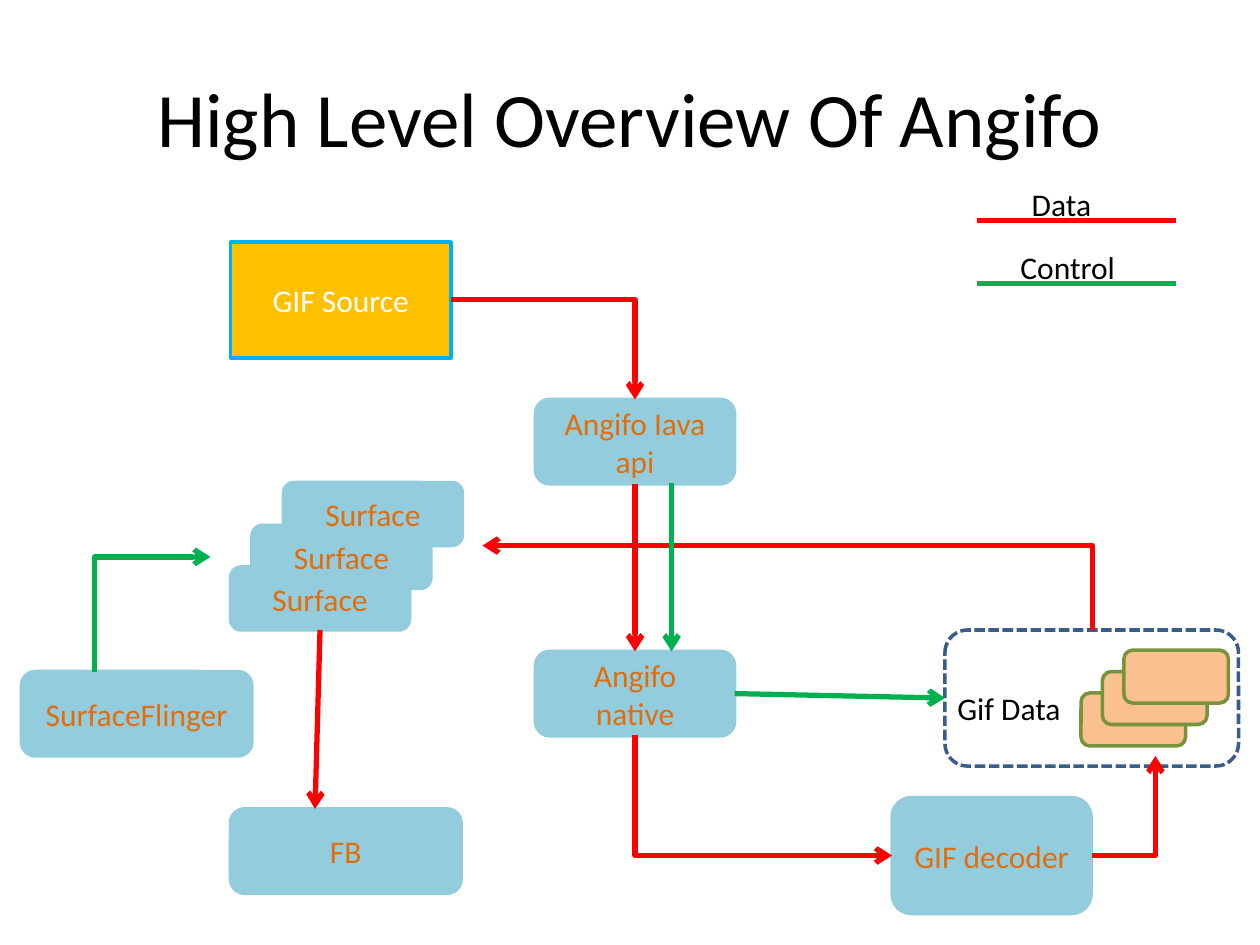
from dataclasses import dataclass

from lxml import etree
from pptx import Presentation
from pptx.dml.color import RGBColor
from pptx.enum.dml import MSO_LINE
from pptx.enum.shapes import MSO_CONNECTOR, MSO_SHAPE
from pptx.enum.text import MSO_ANCHOR, MSO_AUTO_SIZE, PP_ALIGN
from pptx.oxml.ns import qn
from pptx.util import Inches, Pt

STRAIGHT, ELBOW = MSO_CONNECTOR.STRAIGHT, MSO_CONNECTOR.ELBOW
RECT, ROUNDED = MSO_SHAPE.RECTANGLE, MSO_SHAPE.ROUNDED_RECTANGLE
DASHED = MSO_LINE.SQUARE_DOT
MIDDLE, CENTER = MSO_ANCHOR.MIDDLE, PP_ALIGN.CENTER
FIT_SHAPE = MSO_AUTO_SIZE.SHAPE_TO_FIT_TEXT
TOP, LEFT, BOTTOM, RIGHT = range(4)


@dataclass(frozen=True)
class Theme:
    font: str = "Calibri"
    title_size: int = 44
    text_size: int = 18
    outline: int = 2
    flow: int = 3
    black: str = "000000"
    white: str = "FFFFFF"
    module: str = "93CDDD"
    module_text: str = "E46C0A"
    source: str = "FFC000"
    source_line: str = "00B0F0"
    frame: str = "FAC090"
    frame_line: str = "77933C"
    group_line: str = "385D8A"
    data: str = "FF0000"
    control: str = "00B050"


theme = Theme()
deck = Presentation()
deck.slide_width, deck.slide_height = Inches(10), Inches(7.5)
page = deck.slides.add_slide(deck.slide_layouts[5])


def add_box(kind, place, fill, line, text="", color=theme.module_text):
    box = page.shapes.add_shape(kind, *map(Inches, place))
    box.shadow.inherit = False
    if fill:
        box.fill.solid()
        box.fill.fore_color.rgb = RGBColor.from_string(fill)
    else:
        box.fill.background()
    box.line.color.rgb = RGBColor.from_string(line)
    box.line.width = Pt(theme.outline)
    if text:
        box.text_frame.text = text
        box.text_frame.word_wrap = True
        box.text_frame.vertical_anchor = MIDDLE
        para = box.text_frame.paragraphs[0]
        para.alignment = CENTER
        para.font.name, para.font.size = theme.font, Pt(theme.text_size)
        para.font.color.rgb = RGBColor.from_string(color)
    return box


def add_flow(color, start, end, bend="", arrow=True):
    """Draw a line; bend is "across" or "down", the direction it leaves in."""
    (x1, y1), (x2, y2) = start, end
    if bend == "down":
        # A quarter turn about the centre makes the first leg vertical
        cx, cy, dx, dy = (x1 + x2) / 2, (y1 + y2) / 2, x2 - x1, y2 - y1
        x1, y1, x2, y2 = cx - dy / 2, cy + dx / 2, cx + dy / 2, cy - dx / 2
    flow = page.shapes.add_connector(
        ELBOW if bend else STRAIGHT, *map(Inches, (x1, y1, x2, y2)))
    flow.line.color.rgb = RGBColor.from_string(color)
    flow.line.width = Pt(theme.flow)
    props = flow._element.spPr
    if bend:
        props.find(qn("a:prstGeom")).set("prst", "bentConnector2")
    if bend == "down":
        props.find(qn("a:xfrm")).set("rot", str(90 * 60000))
    if arrow:
        etree.SubElement(props.find(qn("a:ln")), qn("a:tailEnd"), type="arrow")
    etree.SubElement(props, qn("a:effectLst"))
    return flow


# Title
title = page.shapes.title
title.left, title.top, title.width, title.height = map(Inches, (0.5, 0.3, 9, 1.25))
title.text_frame.text = "High Level Overview Of Angifo"
title.text_frame.vertical_anchor = MIDDLE
heading = title.text_frame.paragraphs[0]
heading.alignment = CENTER
heading.font.name, heading.font.size = theme.font, Pt(theme.title_size)
heading.font.color.rgb = RGBColor.from_string(theme.black)

# Source and processing modules
add_box(RECT, (1.83, 1.92, 1.75, 0.92), theme.source, theme.source_line,
        "GIF Source", theme.white)
modules = {}
for name, place in (
    ("GIF decoder", (7.08, 6.33, 1.58, 0.92)),
    ("Angifo native", (4.25, 5.17, 1.58, 0.67)),
    ("Angifo Iava api", (4.25, 3.17, 1.58, 0.67)),
    ("SurfaceFlinger", (0.17, 5.33, 1.83, 0.67)),
    ("FB", (1.83, 6.42, 1.83, 0.67)),
):
    modules[name] = add_box(ROUNDED, place, theme.module, theme.module, name)

# Stacked surfaces, the lowest first
surfaces = [
    add_box(ROUNDED, (left, top, 1.42, 0.5), theme.module, theme.module, "Surface")
    for left, top in ((1.83, 4.5), (2, 4.17), (2.25, 3.83))
]

# Decoded frames inside the dashed group
for step in range(3):
    add_box(ROUNDED, (8.58 + step * 0.17, 5.5 - step * 0.17, 0.83, 0.42),
            theme.frame, theme.frame_line)
gif_data = add_box(ROUNDED, (7.5, 5, 2.33, 1.08), None, theme.group_line)
gif_data.line.dash_style = DASHED

# Legend lines
for color, y in ((theme.data, 1.75), (theme.control, 2.25)):
    add_flow(color, (7.75, y), (9.33, y), arrow=False)

# Legend and group labels
for text, place in (
    ("Data", (8.09, 1.42, 0.67, 0.4)),
    ("Control", (8, 1.92, 0.95, 0.4)),
    ("Gif Data", (7.5, 5.42, 1.02, 0.4)),
):
    label = page.shapes.add_textbox(*map(Inches, place))
    label.text_frame.text = text
    label.text_frame.word_wrap = False
    label.text_frame.auto_size = FIT_SHAPE
    para = label.text_frame.paragraphs[0]
    para.font.name, para.font.size = theme.font, Pt(theme.text_size)
    para.font.color.rgb = RGBColor.from_string(theme.black)

# Bent flows
for color, start, end, bend in (
    (theme.data, (3.58, 2.38), (5.04, 3.17), "across"),
    (theme.data, (5.04, 5.83), (7.08, 6.79), "down"),
    (theme.data, (8.67, 6.79), (9.17, 6), "across"),
    (theme.data, (8.67, 5), (3.83, 4.33), "down"),
    (theme.control, (0.75, 5.33), (1.67, 4.42), "down"),
):
    add_flow(color, start, end, bend)

# Straight flows
api, native = modules["Angifo Iava api"], modules["Angifo native"]
api_to_native = add_flow(theme.data, (5.04, 3.83), (5.04, 5.17))
api_to_native.begin_connect(api, BOTTOM)
api_to_native.end_connect(native, TOP)
add_flow(theme.control, (5.33, 3.83), (5.33, 5.17))
native_to_data = add_flow(theme.control, (5.83, 5.5), (7.5, 5.54))
native_to_data.begin_connect(native, RIGHT)
native_to_data.end_connect(gif_data, LEFT)
surface_to_fb = add_flow(theme.data, (2.54, 5), (2.5, 6.42))
surface_to_fb.begin_connect(surfaces[0], BOTTOM)

deck.save("out.pptx")
